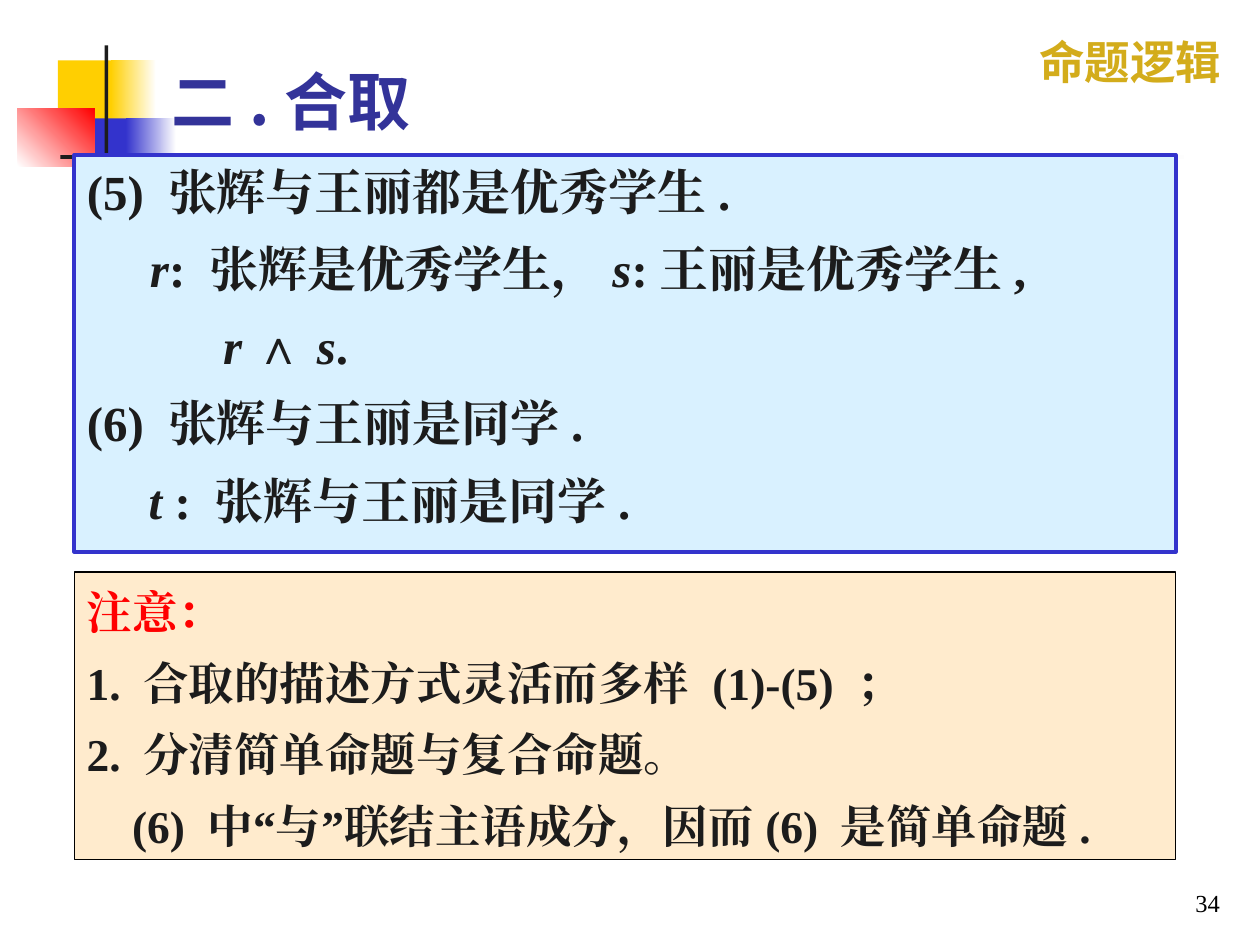
from dataclasses import dataclass

from lxml import etree
from pptx import Presentation
from pptx.dml.color import RGBColor
from pptx.enum.shapes import MSO_SHAPE
from pptx.enum.text import MSO_ANCHOR, MSO_AUTO_SIZE, PP_ALIGN
from pptx.oxml.ns import qn
from pptx.util import Inches, Pt

COLORS = {
    "yellow": "FFCF01", "blue": "3333CC", "red": "FF0000", "white": "FFFFFF",
    "ink": "1C1C1C", "black": "000000", "gold": "D3AC1B", "title": "333399",
    "sky": "D9F1FF", "cream": "FFEBCD",
}
SERIF = "Times New Roman"


@dataclass
class Box:
    left: float
    top: float
    width: float
    height: float

    def lengths(self) -> tuple:
        return tuple(Inches(n) for n in (self.left, self.top, self.width, self.height))


@dataclass
class Decoration:
    box: Box
    start: str
    end: str = ""  # an end colour makes a gradient
    angle: int = 0


@dataclass
class Span:
    text: str
    italic: bool = False
    font: str = SERIF
    color: str = "ink"


@dataclass
class Line:
    spans: list
    indent: float = 0


@dataclass
class Style:
    size: float
    spacing: float = 1
    before: float = 0
    align: PP_ALIGN = PP_ALIGN.LEFT
    bold: bool = True


def color(name: str) -> RGBColor:
    return RGBColor.from_string(COLORS[name])


def add_rectangle(slide, box: Box):
    shape = slide.shapes.add_shape(MSO_SHAPE.RECTANGLE, *box.lengths())
    shape.shadow.inherit = False
    shape.line.fill.background()
    return shape


def add_decoration(slide, decoration: Decoration):
    shape = add_rectangle(slide, decoration.box)
    if decoration.end:
        shape.fill.gradient()
        shape.fill.gradient_angle = decoration.angle
        for stop, name in zip(shape.fill.gradient_stops, (decoration.start, decoration.end)):
            stop.color.rgb = color(name)
    else:
        shape.fill.solid()
        shape.fill.fore_color.rgb = color(decoration.start)
    # Decorations sit behind the title and body
    slide.shapes.title.element.addprevious(shape.element)


def paint_panel(shape, fill: str, line: str, width: float) -> None:
    shape.fill.solid()
    shape.fill.fore_color.rgb = color(fill)
    shape.line.color.rgb = color(line)
    shape.line.width = Pt(width)


def write_lines(shape, lines: list, style: Style, anchor=MSO_ANCHOR.TOP, wrap=True) -> None:
    frame = shape.text_frame
    frame.word_wrap = wrap
    frame.auto_size = MSO_AUTO_SIZE.NONE
    frame.vertical_anchor = anchor
    for index, line in enumerate(lines):
        paragraph = frame.add_paragraph() if index else frame.paragraphs[0]
        paragraph.alignment = style.align
        paragraph.line_spacing = style.spacing
        paragraph.space_before = Pt(style.before if index else 0)
        properties = paragraph._p.get_or_add_pPr()
        properties.set("marL", str(Inches(line.indent)))
        properties.set("indent", "0")
        etree.SubElement(properties, qn("a:buNone"))
        for span in line.spans:
            run = paragraph.add_run()
            run.text = span.text
            font = run.font
            font.size, font.bold, font.italic = Pt(style.size), style.bold, span.italic
            font.color.rgb = color(span.color)
            font.name = span.font
            latin = run._r.rPr.find(qn("a:latin"))
            east_asian = etree.Element(qn("a:ea"), typeface=span.font)
            latin.addnext(east_asian)


def shade_text(shape) -> None:
    properties = shape.text_frame.paragraphs[0].runs[0]._r.rPr
    effects = etree.Element(qn("a:effectLst"))
    shadow = etree.SubElement(effects, qn("a:outerShdw"), dist="25400", dir="2700000")
    etree.SubElement(shadow, qn("a:srgbClr"), val=COLORS["black"])
    properties.find(qn("a:latin")).addprevious(effects)


def place(shape, box: Box) -> None:
    shape.left, shape.top, shape.width, shape.height = box.lengths()


DECORATIONS = [
    Decoration(Box(0.46, 0.48, 0.48, 0.52), "yellow"),
    Decoration(Box(0.88, 0.48, 0.36, 0.52), "yellow", "white"),
    Decoration(Box(0.59, 0.94, 0.46, 0.52), "blue"),
    Decoration(Box(1, 0.94, 0.4, 0.52), "blue", "white"),
    Decoration(Box(0.14, 0.86, 0.61, 0.46), "white", "red", 45),
    Decoration(Box(0.83, 0.36, 0.03, 1.15), "ink"),
    Decoration(Box(0.48, 1.23, 9, 0.03), "ink", "white"),
]
EXAMPLES = [
    Line([Span("(5) 张辉与王丽都是优秀学生.")]),
    Line([Span("r", True), Span(": 张辉是优秀学生，"), Span("s", True),
          Span(":王丽是优秀学生,")], 0.5),
    Line([Span("r ", True), Span("∧ ", font="Arial"), Span("s", True), Span(".")], 1.08),
    Line([Span("(6) 张辉与王丽是同学.")]),
    Line([Span("t", True), Span(" : 张辉与王丽是同学.")], 0.49),
]
NOTES = [
    Line([Span("注意：", color="red")]),
    Line([Span("1. 合取的描述方式灵活而多样 (1)-(5) ；")]),
    Line([Span("2. 分清简单命题与复合命题。")]),
    Line([Span("(6) 中“与”联结主语成分，因而(6) 是简单命题.")], 0.36),
]


def main() -> None:
    presentation = Presentation()
    presentation.slide_width, presentation.slide_height = Inches(10), Inches(7.5)
    slide = presentation.slides.add_slide(presentation.slide_layouts[1])

    # Corner ornament and course name
    for decoration in DECORATIONS:
        add_decoration(slide, decoration)
    course = slide.shapes.add_textbox(*Box(8.15, 0.22, 1.64, 0.54).lengths())
    write_lines(course, [Line([Span("命题逻辑", font="Karla", color="gold")])],
                Style(26), wrap=False)

    # Title
    title = slide.shapes.title
    place(title, Box(1.26, 0.08, 8.52, 1.07))
    write_lines(title, [Line([Span("二.合取", font="Noto Sans CJK SC", color="title")])],
                Style(36), MSO_ANCHOR.BOTTOM)
    shade_text(title)

    # Examples
    body = slide.placeholders[1]
    place(body, Box(0.59, 1.23, 8.74, 3.15))
    paint_panel(body, "sky", "blue", 2.25)
    write_lines(body, EXAMPLES, Style(28, 1, 10.5, PP_ALIGN.JUSTIFY))

    # Notes
    notes = add_rectangle(slide, Box(0.59, 4.54, 8.74, 2.28))
    paint_panel(notes, "cream", "black", 0.75)
    write_lines(notes, NOTES, Style(26, 1.1, 6.5))

    # Slide number
    number = slide.shapes.add_textbox(*Box(7.7, 6.83, 2.08, 0.5).lengths())
    write_lines(number, [Line([Span("34", color="black")])],
                Style(14, align=PP_ALIGN.RIGHT, bold=False), MSO_ANCHOR.BOTTOM)

    presentation.save("out.pptx")


if __name__ == "__main__":
    main()
